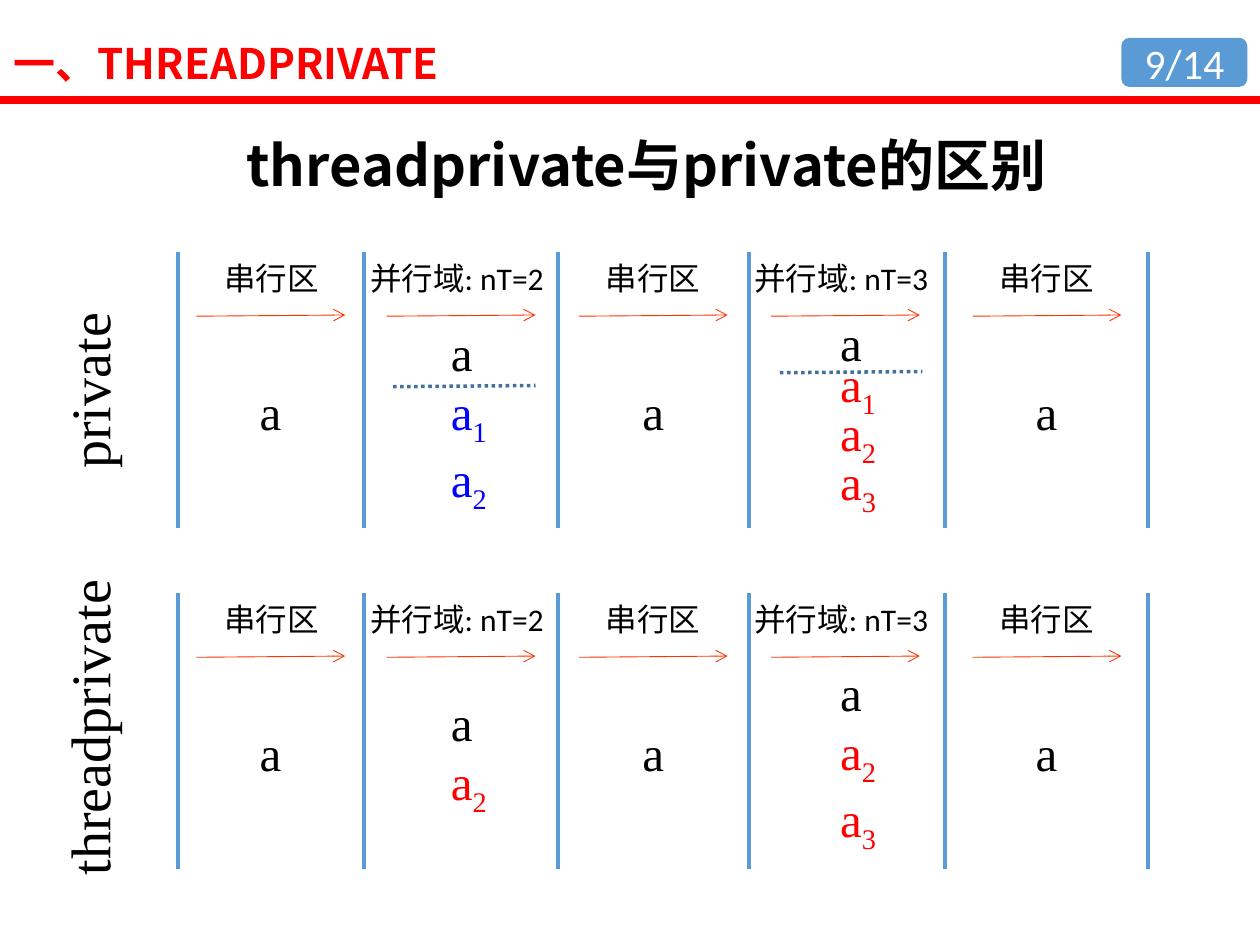
"""Build the slide that compares threadprivate with private."""
from lxml import etree
from pptx import Presentation
from pptx import util as u
from pptx.dml.color import RGBColor
from pptx.enum import dml, shapes, text
from pptx.oxml import ns

Pt = u.Pt
hue = RGBColor.from_string
NOTO, SERIF = "Noto Sans CJK SC", "Times New Roman"
BLACK, RED, BLUE, SKY = "000000", "FF0000", "0000FF", "5B9BD5"

deck = Presentation()
deck.slide_width, deck.slide_height = Pt(720), Pt(540)
slide = deck.slides.add_slide(deck.slide_layouts[6])


def rule(start, end, color, width, dash=None, head=False):
    line = slide.shapes.add_connector(
        shapes.MSO_CONNECTOR.STRAIGHT, *map(Pt, start + end))
    line.line.color.rgb = hue(color)
    line.line.width = Pt(width)
    if dash:
        line.line.dash_style = dash
    props = line._element.spPr
    if head:
        etree.SubElement(props.find(ns.qn("a:ln")), ns.qn("a:tailEnd"), type="arrow")
    etree.SubElement(props, ns.qn("a:effectLst"))


def write(box, rows, look, color=BLACK, tint=BLACK, frame=None, para=None):
    body = box.text_frame
    style = {"word_wrap": False, "margin_left": Pt(7.2), "margin_right": Pt(7.2),
             "margin_top": Pt(3.6), "margin_bottom": Pt(3.6),
             "auto_size": text.MSO_AUTO_SIZE.SHAPE_TO_FIT_TEXT}
    for key, val in (style | (frame or {})).items():
        setattr(body, key, val)
    for i, parts in enumerate(rows):
        line = body.paragraphs[0] if i == 0 else body.add_paragraph()
        for key, val in (para or {}).items():
            setattr(line, key, val)
        for j, part in enumerate(parts):
            run = line.add_run()
            run.text = part
            for key, val in look.items():
                setattr(run.font, key, val)
            run.font.color.rgb = hue(tint if i else color)
            props = run._r.get_or_add_rPr()
            etree.SubElement(props, ns.qn("a:ea"), typeface=NOTO)
            if j:
                props.set("baseline", "-25000")


fixed = {"auto_size": text.MSO_AUTO_SIZE.NONE}
mid = text.MSO_ANCHOR.MIDDLE
center = text.PP_ALIGN.CENTER

rule((0, 56.9), (720, 56.9), RED, 4.5)
badge = slide.shapes.add_shape(
    shapes.MSO_SHAPE.ROUNDED_RECTANGLE, Pt(640.8), Pt(21.6), Pt(72), Pt(28.1))
badge.shadow.inherit = False
badge.fill.solid()
badge.fill.fore_color.rgb = hue(SKY)
badge.line.fill.background()
write(badge, [["9/14"]], {"name": "Calibri", "size": Pt(24)}, "FFFFFF",
      frame=fixed | {"vertical_anchor": mid}, para={"alignment": center})

title = slide.shapes.add_textbox(Pt(0.7), Pt(20.9), Pt(442), Pt(33.1))
write(title, [["一、THREADPRIVATE"]], {"name": NOTO, "size": Pt(24), "bold": True}, RED,
      frame=fixed | {"word_wrap": True, "vertical_anchor": mid},
      para={"line_spacing": 0.9})

topic = slide.shapes.add_textbox(Pt(41.8), Pt(63.4), Pt(655.2), Pt(465.8))
write(topic, [["threadprivate与private的区别"]],
      {"name": NOTO, "size": Pt(32), "bold": True},
      frame=fixed | {"word_wrap": True},
      para={"alignment": center, "line_spacing": 1.2})

bars = [101.6, 207.9, 319, 428, 540, 656]
serial, dual, triple = "串行区", "并行域: nT=2", "并行域: nT=3"
zones = [(serial, 155.2, 154.6, 112.3), (dual, 263.5, 267.9, 221),
         (serial, 373.3, 373.3, 330.8), (triple, 483.1, 490.3, 440.6),
         (serial, 598, 598, 555.8)]
one = (["a"], BLACK, 70.5, None)
bands = [
    ("private", 144.2, 178.5, 96.5,
     [one, (["a", "a1", "a2"], BLUE, 36.5, None), one,
      (["a", "a1", "a2", "a3"], RED, 36.5, 28), one]),
    ("threadprivate", 339.1, 331.1, 176.4,
     [one, (["a", "a2"], RED, 53.3, None), one,
      (["a", "a2", "a3"], RED, 36, None), one]),
]

for name, top, side, tall, cells in bands:
    for x in bars:
        rule((x, top), (x, top + 157.5), SKY, 2)
    for (label, axis, core, left), (vals, tint, drop, lead) in zip(zones, cells):
        wide = 68.4 if label == serial else 118.1
        tag = slide.shapes.add_textbox(
            Pt(axis - wide / 2), Pt(top + 0.3), Pt(wide), Pt(28.8))
        write(tag, [[label]], {"name": "Calibri", "size": Pt(18)})
        rows = [list(val) for val in vals]
        many = len(rows) > 1
        wide = 34.6 if many else 26.6
        high = len(rows) * lead + 7.5 if lead else len(rows) * 38.2 + 2.8
        box = slide.shapes.add_textbox(
            Pt(core - wide / 2), Pt(top + drop), Pt(wide), Pt(high))
        write(box, rows, {"name": SERIF, "size": Pt(28)}, tint=tint,
              frame=fixed | {"margin_right": Pt(0), "word_wrap": True} if many else None,
              para={"line_spacing": Pt(lead)} if lead else None)
        rule((left, top + 36.5), (left + 85, top + 35.8), "FF3300", 0.5, head=True)
    box = slide.shapes.add_textbox(Pt(27.4), Pt(side), Pt(52.6), Pt(tall))
    box.rotation = 180
    write(box, [[name]], {"name": SERIF, "size": Pt(32)},
          frame={"margin_left": Pt(3.6), "margin_right": Pt(3.6),
                 "margin_top": Pt(7.2), "margin_bottom": Pt(7.2)})
    box.text_frame._txBody.bodyPr.set("vert", "eaVert")

for x, y in [(224.6, 221), (445.7, 213)]:
    rule((x, y), (x + 81.4, y - 0.7), "41719C", 2, dml.MSO_LINE.ROUND_DOT)

deck.save("out.pptx")
